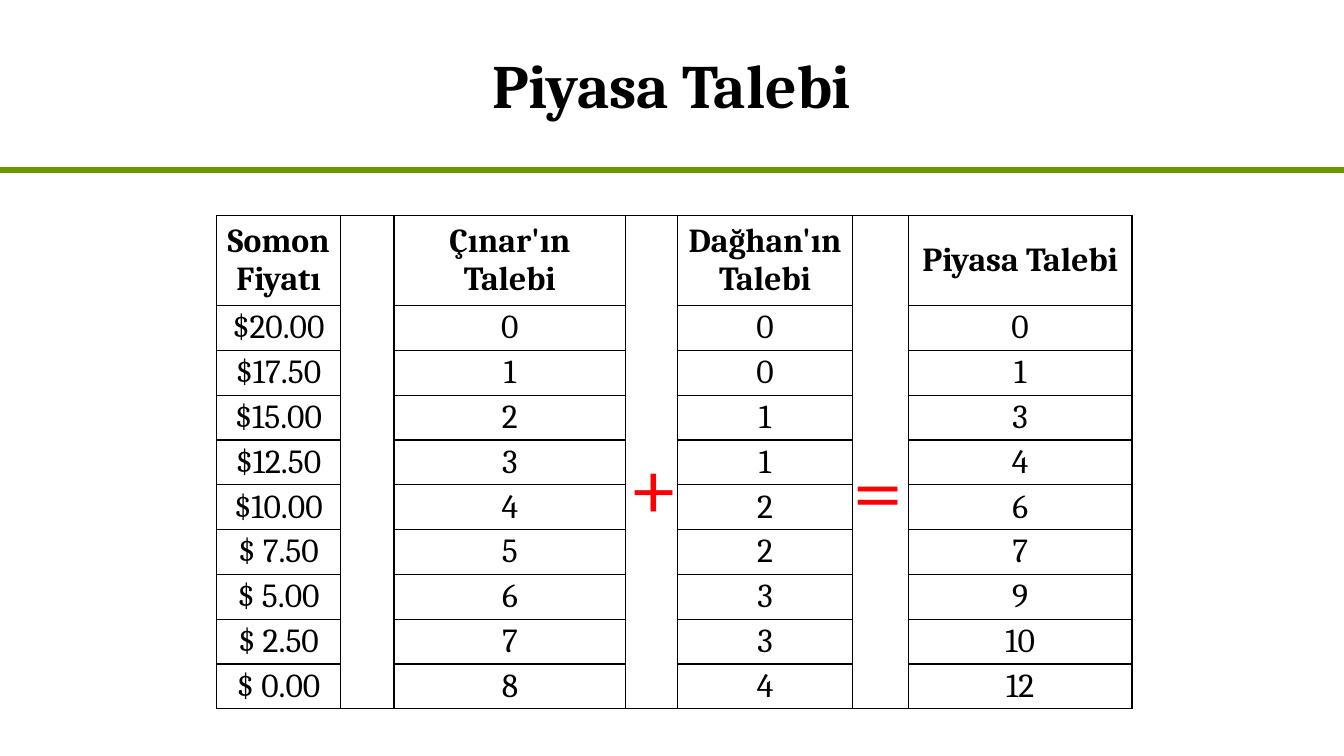
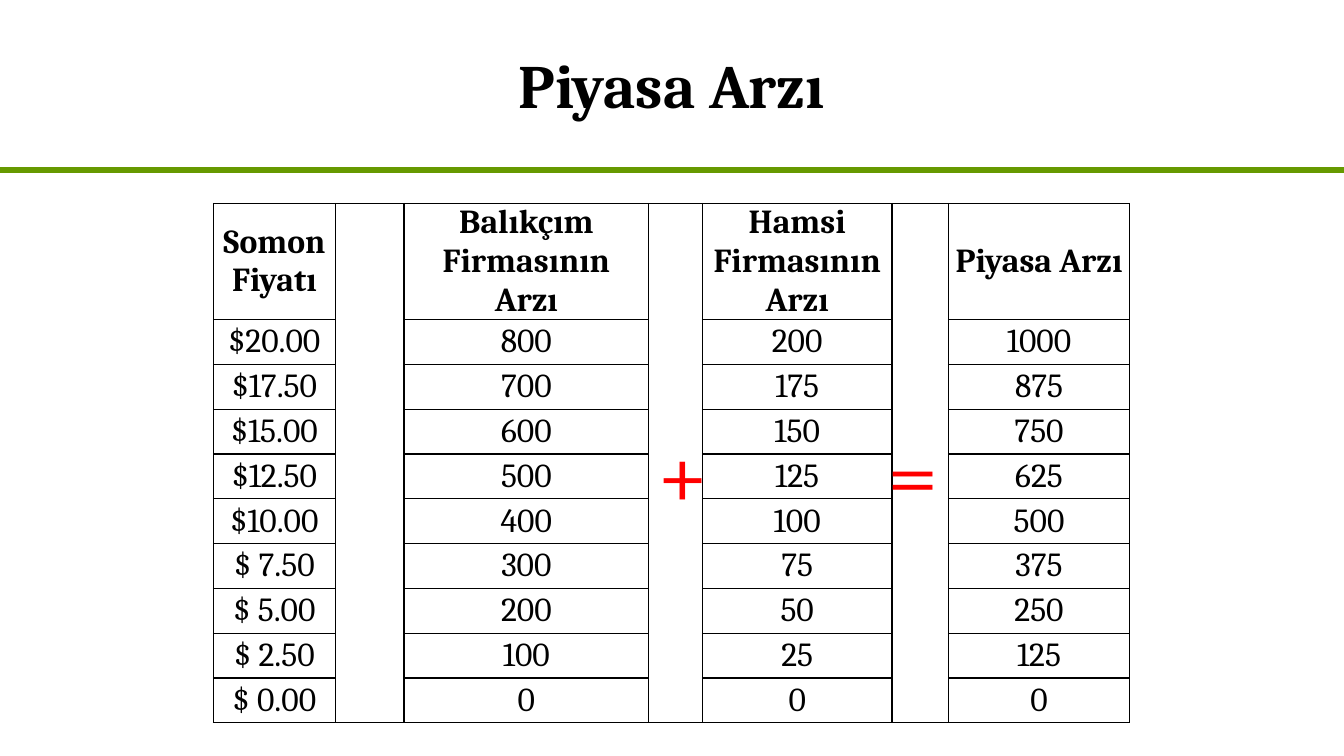
from pptx import Presentation
from pptx.dml.color import RGBColor
from pptx.enum.shapes import MSO_CONNECTOR
from pptx.enum.text import MSO_ANCHOR, PP_ALIGN
from pptx.oxml import parse_xml
from pptx.oxml.ns import nsdecls, qn
from pptx.util import Cm, Pt
from lxml.etree import SubElement

FONT, BLACK, RED, GREEN = "Cambria", "000000", "FF0000", "669900"
WIDTH, HEIGHT = Cm(33.87), Cm(19.05)
ROW_H = 1.13

# Content: the last table column is the sum of the two sellers or buyers
PRICES = ["$20.00", "$17.50", "$15.00", "$12.50", "$10.00",
          "$ 7.50", "$ 5.00", "$ 2.50", "$ 0.00"]
SLIDES = [
    dict(title="Piyasa Talebi",
         heads=["Somon Fiyatı", "Çınar'ın Talebi", "Dağhan'ın Talebi", "Piyasa Talebi"],
         first=[0, 1, 2, 3, 4, 5, 6, 7, 8],
         second=[0, 0, 1, 1, 2, 2, 3, 3, 4],
         at=(5.46, 5.44), head_h=2.26,
         cols=[3.12, 1.35, 5.84, 1.3, 4.42, 1.4, 5.64],
         signs=[("+", 15.6, 10.64), ("=", 21.23, 10.72)]),
    dict(title="Piyasa Arzı",
         heads=["Somon Fiyatı", "Balıkçım Firmasının Arzı", "Hamsi Firmasının Arzı",
                "Piyasa Arzı"],
         first=[800, 700, 600, 500, 400, 300, 200, 100, 0],
         second=[200, 175, 150, 125, 100, 75, 50, 25, 0],
         at=(5.38, 5.13), head_h=2.92,
         cols=[3.07, 1.73, 6.17, 1.35, 4.78, 1.42, 4.57],
         signs=[("+", 16.31, 10.34), ("=", 22.12, 10.34)]),
]


def rgb(value):
    return RGBColor.from_string(value)


def style(p, size, color=BLACK, bold=False, align=PP_ALIGN.CENTER):
    p.alignment = align
    f = p.font
    f.name, f.size, f.bold, f.color.rgb = FONT, Pt(size), bold, rgb(color)


def set_borders(cell, edges):
    """Draw the named edges in black and leave the others without a line."""
    tc_pr = cell._tc.get_or_add_tcPr()
    for i, edge in enumerate("LRTB"):
        paint = (f'<a:solidFill><a:srgbClr val="{BLACK}"/></a:solidFill>'
                 if edge in edges else "<a:noFill/>")
        tc_pr.insert(i, parse_xml(
            f'<a:ln{edge} {nsdecls("a")} w="{Pt(1)}">{paint}</a:ln{edge}>'))


def add_rule(s, layout):
    """Draw the green rule and hand it to the layout, so all slides share it."""
    rule = s.shapes.add_connector(MSO_CONNECTOR.STRAIGHT, 0, Cm(4.29), WIDTH, Cm(4.29))
    rule.line.color.rgb, rule.line.width = rgb(GREEN), Pt(4.5)
    SubElement(rule.element.spPr, qn("a:effectLst"))
    layout.shapes.element.append(rule.element)


def add_title(s, text):
    title = s.shapes.title
    title.left, title.top, title.width, title.height = Cm(5.5), 0, Cm(22.86), Cm(4.24)
    tf = title.text_frame
    tf.text, tf.vertical_anchor = text, MSO_ANCHOR.MIDDLE
    style(tf.paragraphs[0], 44, bold=True)


def add_schedule(s, data):
    numbers = zip(PRICES, data["first"], data["second"])
    rows = [data["heads"]] + [[price, a, b, a + b] for price, a, b in numbers]
    cols, last = data["cols"], len(rows) - 1
    heights = [data["head_h"]] + [ROW_H] * last
    left, top = data["at"]
    table = s.shapes.add_table(len(rows), len(cols), Cm(left), Cm(top),
                               Cm(sum(cols)), Cm(sum(heights))).table
    table.first_row = table.horz_banding = False
    for col, width in zip(table.columns, cols):
        col.width = Cm(width)
    for r, height in enumerate(heights):
        table.rows[r].height = Cm(height)
        for c in range(len(cols)):
            cell = table.cell(r, c)
            cell.fill.background()
            cell.margin_left = cell.margin_right = Cm(0.18)
            cell.margin_top = cell.margin_bottom = 0
            if c % 2:  # open gap between two value columns
                set_borders(cell, "LR" + "T" * (r == 0) + "B" * (r == last))
                continue
            set_borders(cell, "LRTB")
            cell.vertical_anchor = MSO_ANCHOR.MIDDLE
            cell.text = str(rows[r][c // 2])
            style(cell.text_frame.paragraphs[0], 24, bold=r == 0)


def add_sign(s, sign, left, top):
    tf = s.shapes.add_textbox(Cm(left), Cm(top), Cm(2.34), Cm(3.07)).text_frame
    tf.word_wrap = True
    tf.text = sign
    style(tf.paragraphs[0], 66, RED, align=PP_ALIGN.LEFT)


def main():
    prs = Presentation()
    prs.slide_width, prs.slide_height = WIDTH, HEIGHT
    layout = prs.slide_layouts[5]
    for i, data in enumerate(SLIDES):
        s = prs.slides.add_slide(layout)
        if i == 0:
            add_rule(s, layout)
        add_title(s, data["title"])
        add_schedule(s, data)
        for sign in data["signs"]:
            add_sign(s, *sign)
    prs.save("out.pptx")


if __name__ == "__main__":
    main()
